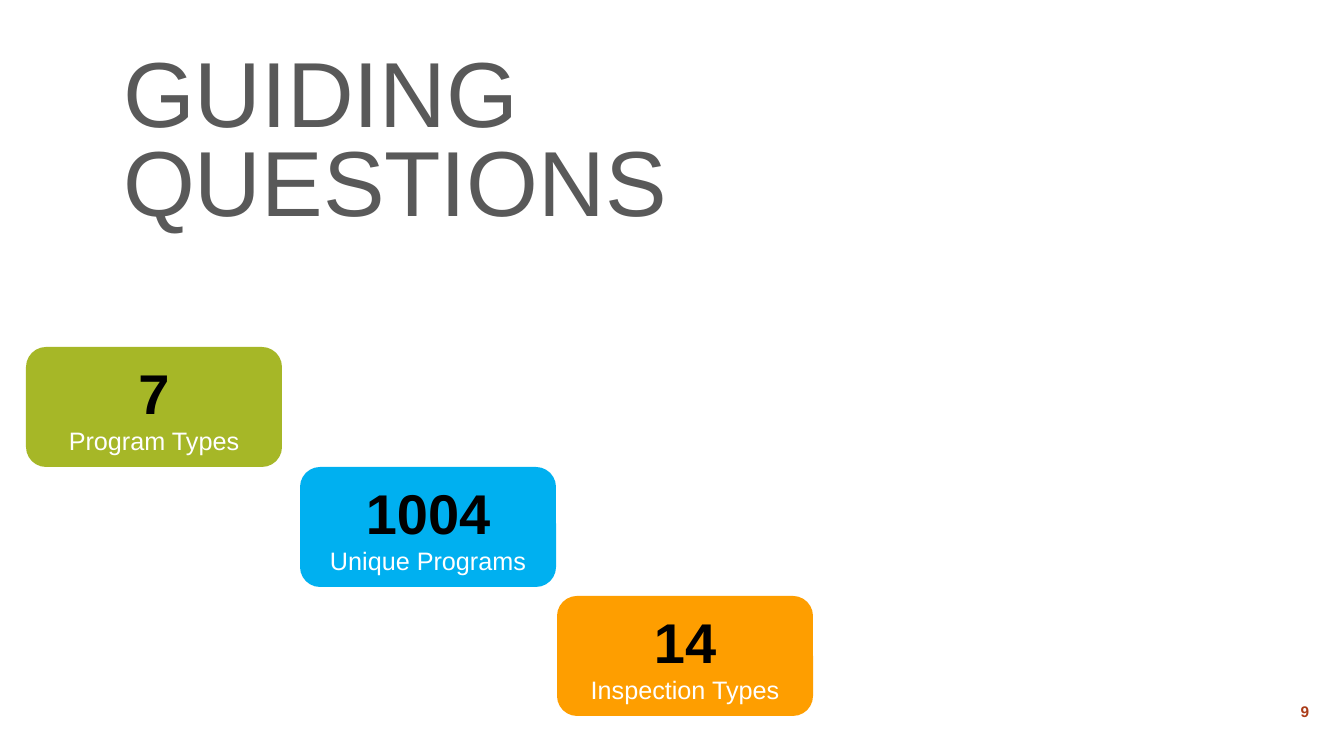
from pptx import Presentation
from pptx.dml.color import RGBColor
from pptx.enum.shapes import MSO_SHAPE
from pptx.enum.text import MSO_ANCHOR, MSO_AUTO_SIZE, PP_ALIGN
from pptx.util import Emu, Pt

ROUND = MSO_SHAPE.ROUNDED_RECTANGLE
MIDDLE, BOTTOM = MSO_ANCHOR.MIDDLE, MSO_ANCHOR.BOTTOM
LEFT, CENTER = PP_ALIGN.LEFT, PP_ALIGN.CENTER
FIXED = MSO_AUTO_SIZE.NONE

INK = {
    "title": "595959",
    "page": "AB3C19",
    "count": "000000",
    "label": "FFFFFF",
    "green": "A6B727",
    "blue": "00B0F0",
    "orange": "FE9E00",
}
FONTS = {
    "title": {"size": Pt(66), "bold": False},
    "page": {"size": Pt(11), "bold": True},
    "count": {"size": Pt(40), "bold": True},
    "label": {"size": Pt(18), "bold": False},
}
CARDS = [
    (26, 347, "green", "7", "Program Types"),
    (300, 467, "blue", "1004", "Unique Programs"),
    (557, 596, "orange", "14", "Inspection Types"),
]


def px(num):
    return Emu(round(num * 914400 / 100.8))


def apply(item, values):
    for name, value in values.items():
        setattr(item, name, value)


class Deck:
    """Builds styled elements on the current slide."""

    def __init__(self, width, height):
        self.prs = Presentation()
        apply(self.prs, {"slide_width": px(width), "slide_height": px(height)})
        self.slide = self.prs.slides.add_slide(self.prs.slide_layouts[5])

    def fill_text(self, frame, lines, anchor, **layout):
        apply(frame, {"word_wrap": True, "auto_size": FIXED,
                      "vertical_anchor": anchor})
        for num, (text, style) in enumerate(lines):
            para = frame.add_paragraph() if num else frame.paragraphs[0]
            apply(para, layout)
            run = para.add_run()
            run.text = text
            apply(run.font, {"name": "Arial", **FONTS[style]})
            run.font.color.rgb = RGBColor.from_string(INK[style])

    def title(self, text, *box):
        shape = self.slide.shapes.title
        apply(shape, dict(zip(("left", "top", "width", "height"), map(px, box))))
        self.fill_text(shape.text_frame, [(text, "title")], BOTTOM,
                       alignment=LEFT, line_spacing=0.8)

    def page(self, text, *box):
        shape = self.slide.shapes.add_textbox(*map(px, box))
        self.fill_text(shape.text_frame, [(text, "page")], MIDDLE,
                       alignment=CENTER, space_after=Pt(6))

    def card(self, left, top, fill, count, label):
        shape = self.slide.shapes.add_shape(ROUND, *map(px, (left, top, 256, 120)))
        shape.shadow.inherit = False
        shape.fill.solid()
        shape.fill.fore_color.rgb = RGBColor.from_string(INK[fill])
        shape.line.fill.background()
        self.fill_text(shape.text_frame, [(count, "count"), (label, "label")],
                       MIDDLE, alignment=CENTER)


def main():
    deck = Deck(1344, 756)
    deck.title("GUIDING QUESTIONS", 113, 16, 593, 223)
    deck.page("9", 1276, 692, 58, 38)
    for card in CARDS:
        deck.card(*card)
    deck.prs.save("out.pptx")


if __name__ == "__main__":
    main()
